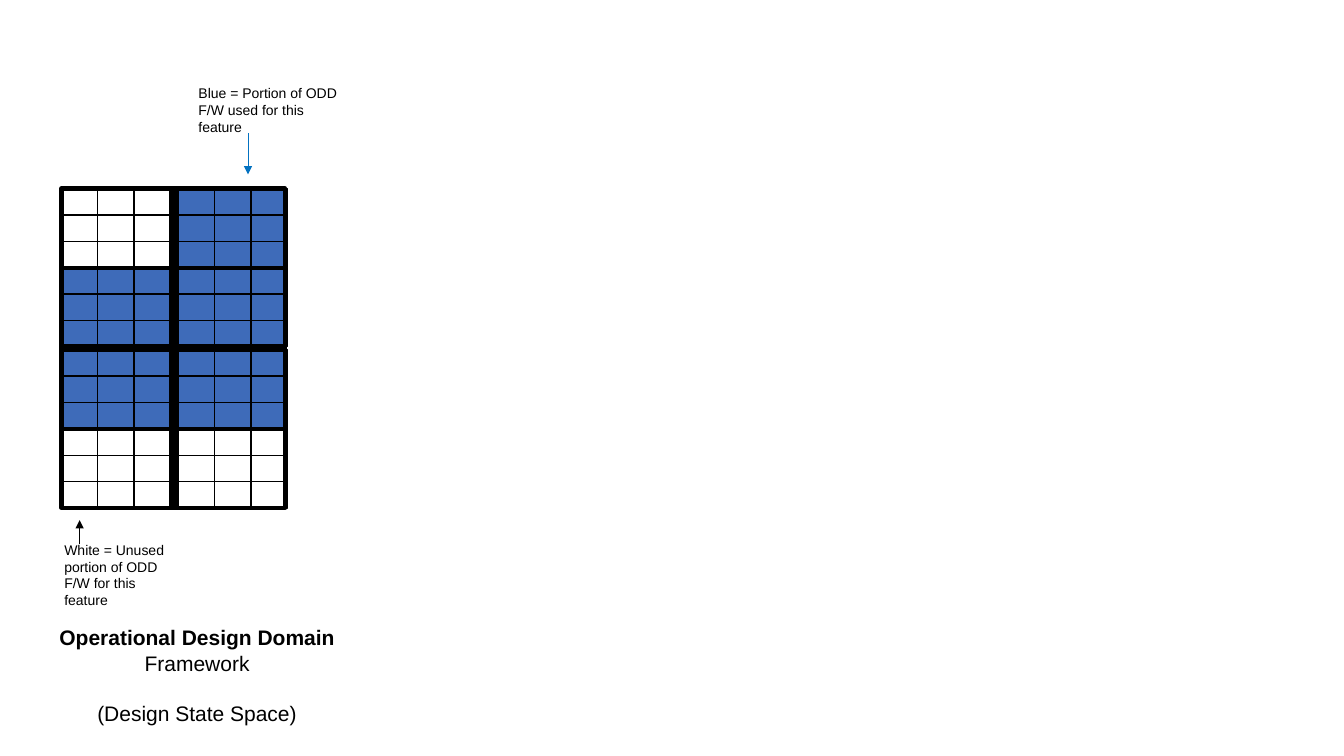
from itertools import product

from lxml.etree import SubElement
from pptx import Presentation
from pptx.dml.color import RGBColor
from pptx.enum.shapes import MSO_CONNECTOR as Connector, MSO_SHAPE as Shape
from pptx.enum.text import MSO_AUTO_SIZE as AutoSize, PP_ALIGN as Align
from pptx.oxml.ns import qn
from pptx.util import Inches, Pt

COLORS = {"ink": "000000", "used": "3E6BB9", "arrow": "0372C1"}
USED_ROWS = {(0, 0): range(3, 6), (0, 1): range(6), (1, 0): range(3), (1, 1): range(3)}


def color(name):
    return RGBColor.from_string(COLORS[name])


def add_box(page, left, top, width, height, weight, fill=None):
    box = page.shapes.add_shape(Shape.RECTANGLE, *map(Inches, (left, top, width, height)))
    box.shadow.inherit = False
    if fill:
        box.fill.solid()
        box.fill.fore_color.rgb = color(fill)
    else:
        box.fill.background()
    box.line.color.rgb = color("ink")
    box.line.width = Pt(weight)
    return box


def add_line(page, start, end, weight, ink="ink", arrow=False):
    line = page.shapes.add_connector(Connector.STRAIGHT, *map(Inches, start + end))
    line.line.color.rgb = color(ink)
    line.line.width = Pt(weight)
    if arrow:
        SubElement(line.line._get_or_add_ln(), qn("a:tailEnd"), type="triangle")
    SubElement(line._element.spPr, qn("a:effectLst"))
    return line


def add_text(page, left, top, width, height, lines, size, align=Align.LEFT):
    box = page.shapes.add_textbox(*map(Inches, (left, top, width, height)))
    frame = box.text_frame
    frame.word_wrap = True
    frame.auto_size = AutoSize.SHAPE_TO_FIT_TEXT
    for index, (text, bold, before) in enumerate(lines):
        para = frame.add_paragraph() if index else frame.paragraphs[0]
        para.alignment = align
        if before:
            para.space_before = Pt(before)
        span = para.add_run()
        span.text = text
        for key, value in {"name": "Arial", "size": Pt(size), "bold": bold}.items():
            setattr(span.font, key, value)
        span.font.color.rgb = color("ink")


def add_block(page, left, top, width, height, used_rows):
    cell_width, cell_height = width / 3, height / 6
    for row, column in product(range(6), range(3)):
        add_box(page, left + column * cell_width, top + row * cell_height,
                cell_width, cell_height, 1, "used" if row in used_rows else None)


def add_grid(page, left, top, width, height):
    for (down, across), used_rows in USED_ROWS.items():
        add_block(page, left + across * 1.16, top + down * 1.6, 1.08, 1.57, used_rows)
    frame = add_box(page, left, top, width, height, 3)
    right, bottom = left + width, top + height
    center, middle = left + width / 2, top + height / 2
    for start, end, sides in (
        ((center, top), (center, bottom), (0, 2)),
        ((right, middle), (left, middle), (3, 1)),
    ):
        divider = add_line(page, start, end, 6)
        divider.begin_connect(frame, sides[0])
        divider.end_connect(frame, sides[1])
    for offset in (0.79, 2.39):
        add_line(page, (right, top + offset), (left, top + offset), 3)


def add_used_note(page, left, top, width, height):
    add_line(page, (left + 0.59, top + 0.53), (left + 0.59, top + 0.94), 0.5, "arrow", True)
    note = "Blue = Portion of ODD F/W used for this feature"
    add_text(page, left, top, width, height, [(note, False, 0)], 10)


def add_unused_note(page, left, top, width, height):
    add_line(page, (left + 0.25, top + 0.08), (left + 0.25, top - 0.16), 0.5, arrow=True)
    note = "White = Unused portion of ODD F/W for this feature"
    add_text(page, left, top, width, height, [(note, False, 0)], 10)


def add_caption(page, left, top, width, height):
    lines = [
        ("Operational Design Domain", True, 0),
        ("Framework", False, 0),
        ("(Design State Space)", False, 18),
    ]
    add_text(page, left, top, width, height, lines, 15, Align.CENTER)


def main():
    deck = Presentation()
    deck.slide_width, deck.slide_height = Inches(13.33), Inches(7.5)
    page = deck.slides.add_slide(deck.slide_layouts[6])
    add_grid(page, 0.61, 1.87, 2.22, 3.17)
    add_used_note(page, 1.87, 0.79, 1.59, 0.61)
    add_unused_note(page, 0.54, 5.32, 1.36, 0.77)
    add_caption(page, 0.27, 6.15, 3.37, 1.11)
    deck.save("out.pptx")


if __name__ == "__main__":
    main()
